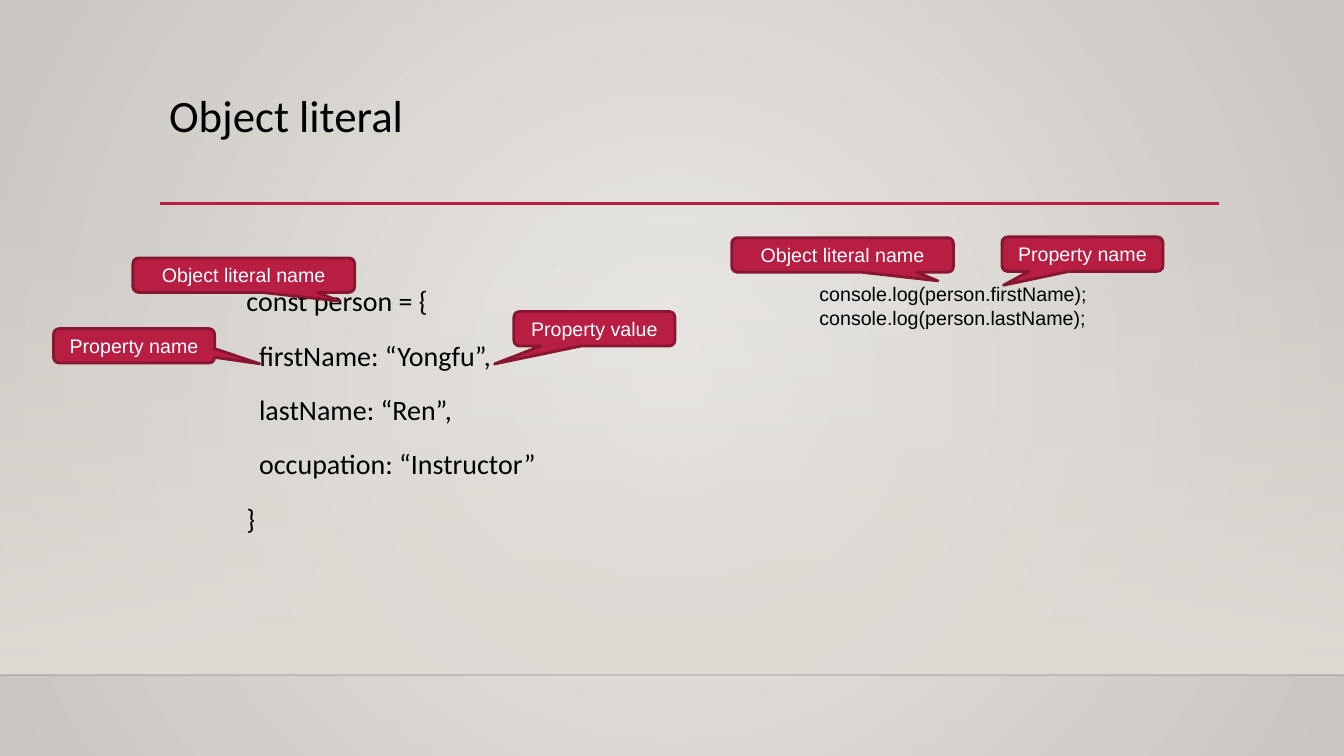
from dataclasses import dataclass

from pptx import Presentation
from pptx.dml.color import RGBColor
from pptx.enum.shapes import MSO_CONNECTOR, MSO_SHAPE
from pptx.enum.text import MSO_ANCHOR, PP_ALIGN
from pptx.oxml import parse_xml
from pptx.oxml.ns import nsdecls, qn
from pptx.util import Cm, Pt


@dataclass(frozen=True)
class Theme:
    accent: str = "B71E42"
    accent_dark: str = "871631"
    ink: str = "000000"
    edge: str = "000001"
    white: str = "FFFFFF"
    glow: str = "EBE9E6"
    rim: str = "C9C5C0"
    haze: str = "DFDBD5"
    heading_font: str = "Calibri"
    label_font: str = "Arial"
    title_size: int = 32
    code_size: int = 20
    label_size: int = 14


class SlideBuilder:
    def __init__(self, slide, theme):
        self.slide, self.theme = slide, theme

    def gradient(self, fill, colors):
        fill.gradient()
        for stop, color in zip(fill.gradient_stops, colors):
            stop.color.rgb = RGBColor.from_string(color)

    def set_alpha(self, color_element, percent):
        color_element.append(parse_xml(
            f'<a:alpha {nsdecls("a")} val="{percent * 1000}"/>'))

    def backdrop(self):
        """Radial background, lightest in the middle."""
        self.gradient(self.slide.background.fill, (self.theme.glow, self.theme.rim))
        gradient = next(self.slide.element.iter(qn("a:gradFill")))
        gradient.replace(gradient.find(qn("a:lin")), parse_xml(
            f'<a:path {nsdecls("a")} path="circle"><a:fillToRect '
            'l="50000" t="50000" r="50000" b="50000"/></a:path>'))

    def haze(self, left, top, width, height):
        """Rectangle that fades in from top to bottom."""
        band = self.slide.shapes.add_shape(
            MSO_SHAPE.RECTANGLE, Cm(left), Cm(top), Cm(width), Cm(height))
        band.shadow.inherit = False
        band.line.fill.background()
        self.gradient(band.fill, (self.theme.haze, self.theme.haze))
        band.fill.gradient_angle = 270
        self.set_alpha(next(band.element.spPr.iter(qn("a:srgbClr"))), 0)

    def rule(self, left, right, y, color, weight, alpha=None):
        line = self.slide.shapes.add_connector(
            MSO_CONNECTOR.STRAIGHT, Cm(left), Cm(y), Cm(right), Cm(y))
        line.line.color.rgb = RGBColor.from_string(color)
        line.line.width = Pt(weight)
        properties = line.element.spPr
        if alpha is not None:
            self.set_alpha(next(properties.iter(qn("a:srgbClr"))), alpha)
        properties.append(parse_xml(f'<a:effectLst {nsdecls("a")}/>'))

    def add_words(self, paragraph, words, font, size, color):
        run = paragraph.add_run()
        run.text = words
        run.font.name, run.font.size = font, Pt(size)
        run.font.color.rgb = RGBColor.from_string(color)

    def text(self, left, top, width, height, lines, font, size,
             spacing=1.0, before=0, wrap=True):
        """Text box; each line is a pair of wording and left indent."""
        frame = self.slide.shapes.add_textbox(
            Cm(left), Cm(top), Cm(width), Cm(height)).text_frame
        frame.word_wrap = wrap
        for number, (words, indent) in enumerate(lines):
            paragraph = frame.add_paragraph() if number else frame.paragraphs[0]
            paragraph.line_spacing = spacing
            paragraph.space_before = Pt(before)
            if indent:
                properties = paragraph._p.get_or_add_pPr()
                properties.set("marL", str(Cm(indent)))
                properties.set("indent", "0")
            self.add_words(paragraph, words, font, size, self.theme.ink)

    def callout(self, left, top, width, words, tip):
        theme = self.theme
        bubble = self.slide.shapes.add_shape(
            MSO_SHAPE.ROUNDED_RECTANGULAR_CALLOUT,
            Cm(left), Cm(top), Cm(width), Cm(0.87))
        bubble.shadow.inherit = False
        bubble.adjustments[0], bubble.adjustments[1] = tip
        bubble.fill.solid()
        bubble.fill.fore_color.rgb = RGBColor.from_string(theme.accent)
        bubble.line.color.rgb = RGBColor.from_string(theme.accent_dark)
        bubble.line.width = Pt(2)
        frame = bubble.text_frame
        frame.word_wrap = True
        frame.vertical_anchor = MSO_ANCHOR.MIDDLE
        frame.paragraphs[0].alignment = PP_ALIGN.CENTER
        self.add_words(frame.paragraphs[0], words,
                       theme.label_font, theme.label_size, theme.white)


def main():
    deck = Presentation()
    deck.slide_width, deck.slide_height = Cm(33.87), Cm(19.05)
    theme = Theme()
    page = SlideBuilder(deck.slides.add_slide(deck.slide_layouts[6]), theme)

    # Background, floor edge and title rule
    page.backdrop()
    page.haze(0, 5.61, 33.87, 11.4)
    page.rule(0, 33.87, 17.01, theme.edge, 1, alpha=20)
    page.rule(4.04, 30.73, 5.13, theme.accent, 2.5)

    # Title
    page.text(4.01, 2.24, 26.67, 2.95, [("Object literal", 0)],
              theme.heading_font, theme.title_size, spacing=0.9)

    # Object definition
    outer, inner = 0.32, 0.64
    page.text(5.64, 6.86, 11.94, 8.28, [
        ("const person = {", outer),
        ("firstName: “Yongfu”,", inner),
        ("lastName: “Ren”,", inner),
        ("occupation: “Instructor”", inner),
        ("}", outer),
    ], theme.heading_font, theme.code_size, spacing=1.2, before=10)

    # Property access
    page.text(20.4, 6.99, 7.29, 1.45, [
        ("console.log(person.firstName);", 0),
        ("console.log(person.lastName);", 0),
    ], theme.label_font, theme.label_size, wrap=False)

    # Callouts: left, top, width, wording, tip offset
    wide, narrow = 5.59, 4.06
    for callout in (
        (3.35, 6.5, wide, "Object literal name", (0.43, 0.75)),
        (1.35, 8.28, narrow, "Property name", (0.78, 0.52)),
        (12.95, 7.85, narrow, "Property value", (-0.62, 1.02)),
        (18.44, 5.99, wide, "Object literal name", (0.43, 0.75)),
        (25.25, 5.97, narrow, "Property name", (-0.49, 0.9)),
    ):
        page.callout(*callout)

    deck.save("out.pptx")


if __name__ == "__main__":
    main()
